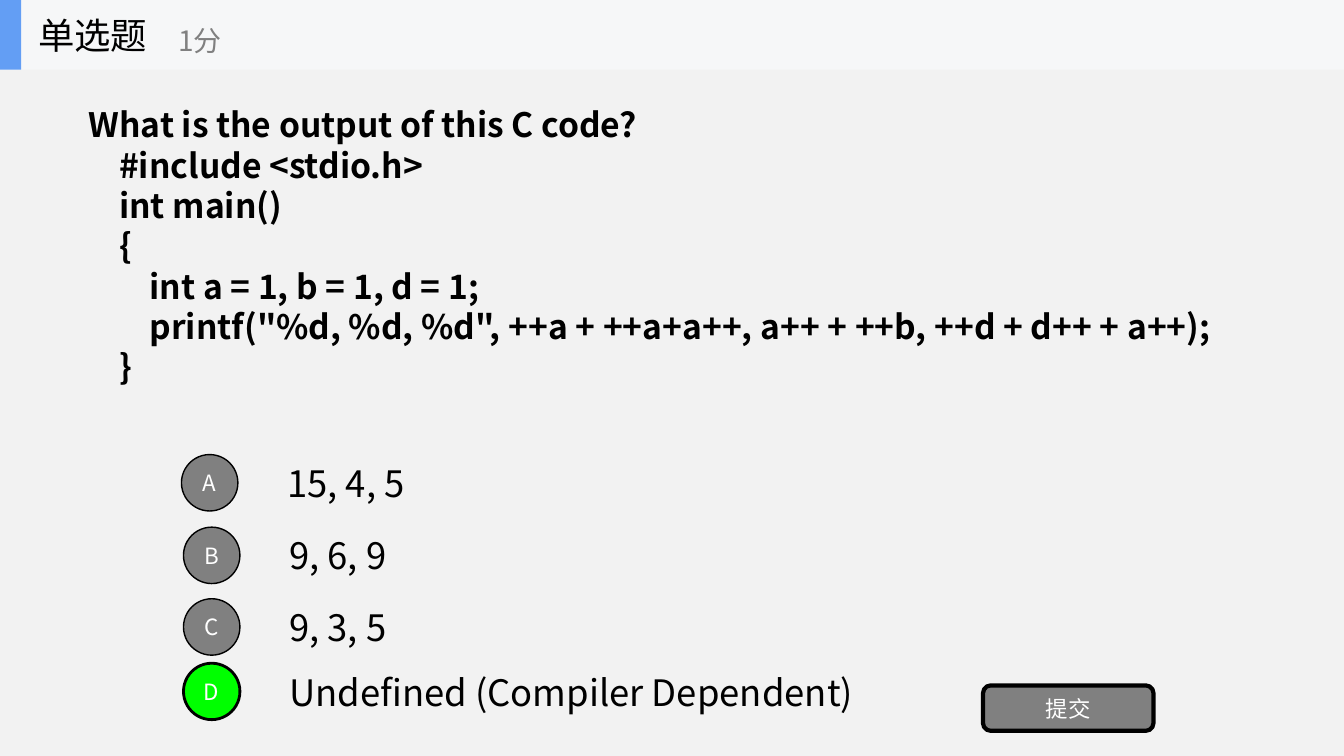
from pptx import Presentation, util as u
from pptx.dml.color import RGBColor
from pptx.enum import shapes, text

BLACK = RGBColor(0x00, 0x00, 0x00)
WHITE = RGBColor(0xFF, 0xFF, 0xFF)
GRAY = RGBColor(0x80, 0x80, 0x80)
GREEN = RGBColor(0x00, 0xFF, 0x00)
BLUE = RGBColor(0x63, 0x9E, 0xF4)
PALE = RGBColor(0xF6, 0xF7, 0xF8)
BACKDROP = RGBColor(0xF2, 0xF2, 0xF2)

COLUMNS, ROWS = 133.3, 75  # square grid cells, ten to the inch

QUESTION = "What is the output of this C code?"
CODE = [
    "    #include <stdio.h>",
    "    int main()",
    "    {",
    "        int a = 1, b = 1, d = 1;",
    '        printf("%d, %d, %d", ++a + ++a+a++, a++ + ++b, ++d + d++ + a++);',
    "    }",
]

# letter, answer, left column, top row, answer width, fill, outline
OPTIONS = [
    ("A", "15, 4, 5", 18, 45.1, 14.3, GRAY, 1),
    ("B", "9, 6, 9", 18.2, 52.3, 12.2, GRAY, 1),
    ("C", "9, 3, 5", 18.2, 59.4, 12.2, GRAY, 1),
    ("D", "Undefined (Compiler Dependent)", 18.2, 65.8, 59.7, GREEN, 2),
]


class QuizSlide:
    font = "Noto Sans CJK SC"

    def __init__(self, presentation):
        self.cell = presentation.slide_width / COLUMNS
        self.slide = presentation.slides.add_slide(presentation.slide_layouts[6])
        self.canvas = self.slide.shapes

    def place(self, *cells):
        return [u.Emu(round(value * self.cell)) for value in cells]

    def run(self, paragraph, words, size, color, bold=False):
        run = paragraph.add_run()
        run.text = words
        run.font.name = self.font
        run.font.size = u.Pt(size)
        run.font.color.rgb = color
        run.font.bold = bold

    def shape(self, kind, box, fill, outline=0, label=""):
        shape = self.canvas.add_shape(kind, *self.place(*box))
        shape.shadow.inherit = False
        shape.fill.solid()
        shape.fill.fore_color.rgb = fill
        if outline:
            shape.line.color.rgb = BLACK
            shape.line.width = u.Pt(outline)
        else:
            shape.line.fill.background()
        if label:
            frame = shape.text_frame
            frame.margin_left = frame.margin_right = 0
            frame.margin_top = frame.margin_bottom = 0
            frame.vertical_anchor = text.MSO_ANCHOR.MIDDLE
            paragraph = frame.paragraphs[0]
            paragraph.alignment = text.PP_ALIGN.CENTER
            self.run(paragraph, label, 16, WHITE)

    def text_box(self, box):
        frame = self.canvas.add_textbox(*self.place(*box)).text_frame
        frame.word_wrap = True
        frame.vertical_anchor = text.MSO_ANCHOR.MIDDLE
        return frame

    def label(self, box, words, size, color=BLACK):
        self.run(self.text_box(box).paragraphs[0], words, size, color)

    def question(self, box, heading, lines):
        frame = self.text_box(box)
        first, code = frame.paragraphs[0], frame.add_paragraph()
        first.line_spacing = code.line_spacing = u.Pt(28.8)
        self.run(first, heading, 24, BLACK, True)
        for index, line in enumerate(lines):
            if index:
                code.add_line_break()
            self.run(code, line, 24, BLACK, True)

    def option(self, letter, answer, left, top, width, fill, outline):
        self.label((left + 9.5, top + 0.1, width, 5.4), answer, 26)
        self.shape(shapes.MSO_SHAPE.OVAL, (left, top, 5.6, 5.6), fill, outline, letter)

    def header(self, title, points):
        self.canvas = self.slide.shapes.add_group_shape().shapes
        self.shape(shapes.MSO_SHAPE.RECTANGLE, (0, 0, COLUMNS, 6.9), PALE)
        self.shape(shapes.MSO_SHAPE.RECTANGLE, (0, 0, 2.1, 6.9), BLUE)
        self.label((2.8, 0, 20.8, 6.9), title, 26)
        self.label((16.7, 1.2, 25, 5.6), points, 20, GRAY)
        self.canvas = self.slide.shapes


def main():
    presentation = Presentation()
    presentation.slide_width = u.Inches(13.33)
    presentation.slide_height = u.Inches(7.5)
    quiz = QuizSlide(presentation)

    # Backdrop and question
    quiz.shape(shapes.MSO_SHAPE.RECTANGLE, (0, 0, COLUMNS, ROWS), BACKDROP)
    quiz.question((7.8, 7.7, 122.5, 33.3), QUESTION, CODE)

    # Answer options
    for option in OPTIONS:
        quiz.option(*option)

    # Submit button
    quiz.shape(shapes.MSO_SHAPE.ROUNDED_RECTANGLE, (97.5, 68, 16.9, 4.5), GRAY, 3, "提交")

    # Header band
    quiz.header("单选题", "1分")

    presentation.save("out.pptx")


if __name__ == "__main__":
    main()
